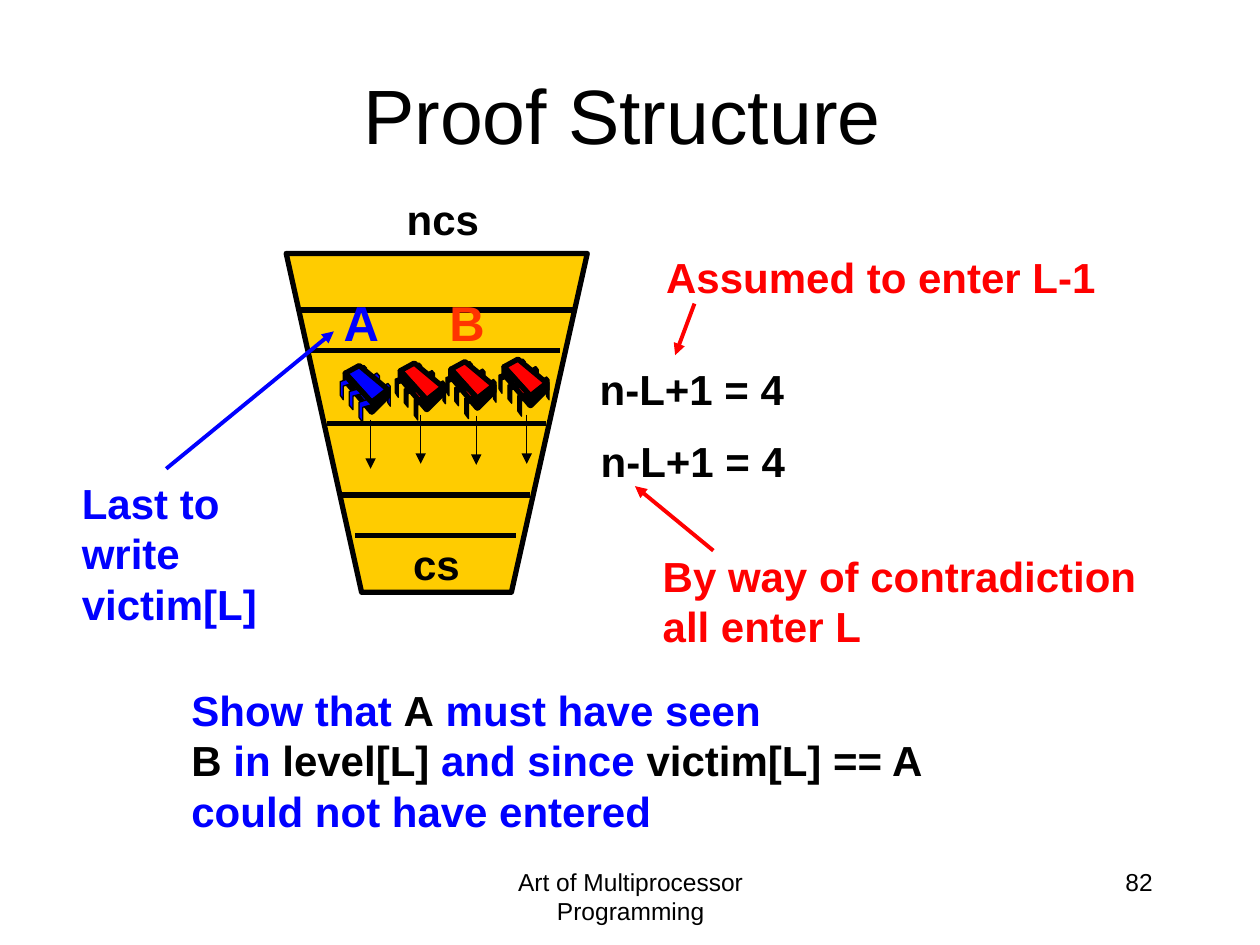
from dataclasses import dataclass

import pptx
import pptx.dml.color
import pptx.enum.shapes
import pptx.enum.text
import pptx.util
from lxml import etree
from pptx.oxml.ns import qn

Cm, Pt = pptx.util.Cm, pptx.util.Pt
RGBColor = pptx.dml.color.RGBColor
Align = pptx.enum.text.PP_ALIGN
Fit = pptx.enum.text.MSO_AUTO_SIZE

BLACK = RGBColor(0, 0, 0)
BLUE = RGBColor(0, 0, 255)
RED = RGBColor(255, 0, 0)
ORANGE = RGBColor(255, 51, 0)
GOLD = RGBColor(255, 204, 0)
FONT = "Arial"


@dataclass
class Label:
    """A text box; each line is a list of (text, colour) spans."""
    left: float
    top: float
    width: float
    height: float
    lines: list
    size: int = 24
    bold: bool = True
    align: Align = Align.LEFT
    wrap: bool = False


@dataclass
class Line:
    x1: float
    y1: float
    x2: float
    y2: float
    color: RGBColor = BLACK
    weight: float = 3
    arrow: bool = False


@dataclass
class Part:
    """A piece of a chip: its box, and an outline in fractions of the box."""
    left: float
    top: float
    width: float
    height: float
    outline: list
    body: bool = False


@dataclass
class Chip:
    left: float
    top: float
    color: RGBColor
    legs: RGBColor


BACK = [(0, .13), (.67, 0), (1, .13), (1, 1), (.67, .85), (.67, .3), (0, .43)]
FRONT = [(.6, 0), (1, .22), (.3, .33), (.3, 1), (0, .78), (0, .11)]
PARTS = [
    Part(.86, .36, .15, .46, BACK),
    Part(.64, .15, .15, .46, BACK),
    Part(.38, 0, .15, .41, BACK),
    Part(.1, 0, .86, .74, [(.33, 0), (1, .65), (.62, 1), (0, .21)], True),
    Part(.1, .15, .53, .79, [(0, 0), (1, .75), (1, 1), (0, .2)], True),
    Part(.64, .48, .33, .46, [(1, 0), (1, .28), (0, 1), (0, .72)], True),
    Part(.38, .69, .25, .46, FRONT),
    Part(.18, .48, .25, .41, FRONT),
    Part(0, .28, .2, .41, FRONT),
]
CHIPS = [
    Chip(8.99, 7.29, RED, BLACK),
    Chip(7.97, 7.32, RED, BLACK),
    Chip(10.06, 7.24, RED, BLACK),
    Chip(6.86, 7.37, BLUE, BLUE),
]
FUNNEL = [(5.77, 5.11), (7.29, 11.94), (10.31, 11.94), (11.84, 5.11)]
LEVELS = [
    Line(left, y, right, y) for y, left, right in [
        (6.25, 6.07, 11.56), (7.06, 6.2, 11.28), (8.53, 6.6, 11),
        (9.98, 6.88, 10.69), (10.8, 7.16, 10.41)]
]
STEPS = [
    Line(x, y, x, y + .99, BLACK, .75, True)
    for x, y in [(7.47, 8.46), (8.48, 8.36), (9.6, 8.38), (10.62, 8.36)]
]
HINTS = [
    Line(14, 6.12, 13.61, 7.16, RED, 2.25, True),
    Line(14.38, 11.1, 12.8, 9.8, RED, 2.25, True),
    Line(3.35, 9.45, 6.73, 6.68, BLUE, 2.25, True),
]
LABELS = [
    Label(8.69, 17.35, 8.05, 1.27,
          [[("Art of Multiprocessor Programming", BLACK)]],
          14, False, Align.CENTER, True),
    Label(18.21, 17.35, 5.28, 1.27, [[("82", BLACK)]],
          14, False, Align.RIGHT, True),
    Label(7.95, 3.78, 1.96, 1.27, [[("ncs", BLACK)]]),
    Label(8.08, 10.74, 1.45, 1.27, [[("cs", BLACK)]]),
    Label(13.18, 4.95, 9.17, 1.27, [[("Assumed to enter L-1", RED)]]),
    Label(13.11, 10.97, 10.06, 2.29,
          [[("By way of contradiction", RED)], [("all enter L", RED)]]),
    Label(11.84, 7.21, 4.22, 1.27, [[("n-L+1 = 4", BLACK)]]),
    Label(11.86, 8.66, 4.22, 1.27, [[("n-L+1 = 4", BLACK)]]),
    Label(6.68, 5.77, 1.22, 1.45, [[("A", BLUE)]], 28),
    Label(8.81, 5.77, 1.22, 1.45, [[("B", ORANGE)]], 28),
    Label(1.4, 9.5, 4.04, 3.3,
          [[("Last to", BLUE)], [("write", BLUE)], [("victim[L]", BLUE)]]),
    Label(3.61, 13.67, 15.27, 3.3, [
        [("Show that ", BLUE), ("A", BLACK), (" must have seen", BLUE)],
        [("B", BLACK), (" in ", BLUE), ("level[L]", BLACK),
         (" and since ", BLUE), ("victim[L] == A", BLACK)],
        [("could not have entered", BLUE)]]),
]


def draw_label(slide, label: Label) -> None:
    box = slide.shapes.add_textbox(Cm(label.left), Cm(label.top),
                                   Cm(label.width), Cm(label.height))
    frame = box.text_frame
    frame.word_wrap = label.wrap
    frame.auto_size = Fit.NONE if label.wrap else Fit.SHAPE_TO_FIT_TEXT
    for i, spans in enumerate(label.lines):
        para = frame.add_paragraph() if i else frame.paragraphs[0]
        para.alignment = label.align
        for text, color in spans:
            run = para.add_run()
            run.text = text
            run.font.name = FONT
            run.font.size = Pt(label.size)
            run.font.bold = label.bold
            run.font.color.rgb = color


def draw_line(slide, line: Line) -> None:
    shape = slide.shapes.add_connector(
        pptx.enum.shapes.MSO_CONNECTOR.STRAIGHT,
        Cm(line.x1), Cm(line.y1), Cm(line.x2), Cm(line.y2))
    shape.line.color.rgb = line.color
    shape.line.width = Pt(line.weight)
    props = shape.line._get_or_add_ln()
    if line.arrow:
        etree.SubElement(props, qn("a:tailEnd"), type="triangle")
    etree.SubElement(props.getparent(), qn("a:effectLst"))


def draw_shape(shapes, points: list, fill: RGBColor, weight: float) -> None:
    start, *rest = [(Cm(x), Cm(y)) for x, y in points]
    pen = shapes.build_freeform(*start)
    pen.add_line_segments(rest, close=True)
    shape = pen.convert_to_shape()
    shape.shadow.inherit = False
    shape.fill.solid()
    shape.fill.fore_color.rgb = fill
    shape.line.color.rgb = BLACK
    shape.line.width = Pt(weight)


def draw_chip(slide, chip: Chip) -> None:
    group = slide.shapes.add_group_shape()
    for part in PARTS:
        left, top = chip.left + part.left, chip.top + part.top
        points = [(left + x * part.width, top + y * part.height)
                  for x, y in part.outline]
        draw_shape(group.shapes, points,
                   chip.color if part.body else chip.legs,
                   3 if part.body else .75)


def draw_title(slide, text: str) -> None:
    title = slide.shapes.title
    title.left, title.top = Cm(1.75), Cm(.71)
    title.width, title.height = Cm(21.59), Cm(3.18)
    frame = title.text_frame
    frame.text = text
    frame.vertical_anchor = pptx.enum.text.MSO_ANCHOR.MIDDLE
    para = frame.paragraphs[0]
    para.alignment = Align.CENTER
    font = para.runs[0].font
    font.name, font.size = FONT, Pt(44)
    font.color.rgb = BLACK


def main() -> None:
    deck = pptx.Presentation()
    deck.slide_width, deck.slide_height = Cm(25.4), Cm(19.05)
    slide = deck.slides.add_slide(deck.slide_layouts[5])
    draw_title(slide, "Proof Structure")
    draw_shape(slide.shapes, FUNNEL, GOLD, 3)
    for line in LEVELS:
        draw_line(slide, line)
    for chip in CHIPS:
        draw_chip(slide, chip)
    for line in STEPS + HINTS:
        draw_line(slide, line)
    for label in LABELS:
        draw_label(slide, label)
    deck.save("out.pptx")


if __name__ == "__main__":
    main()
